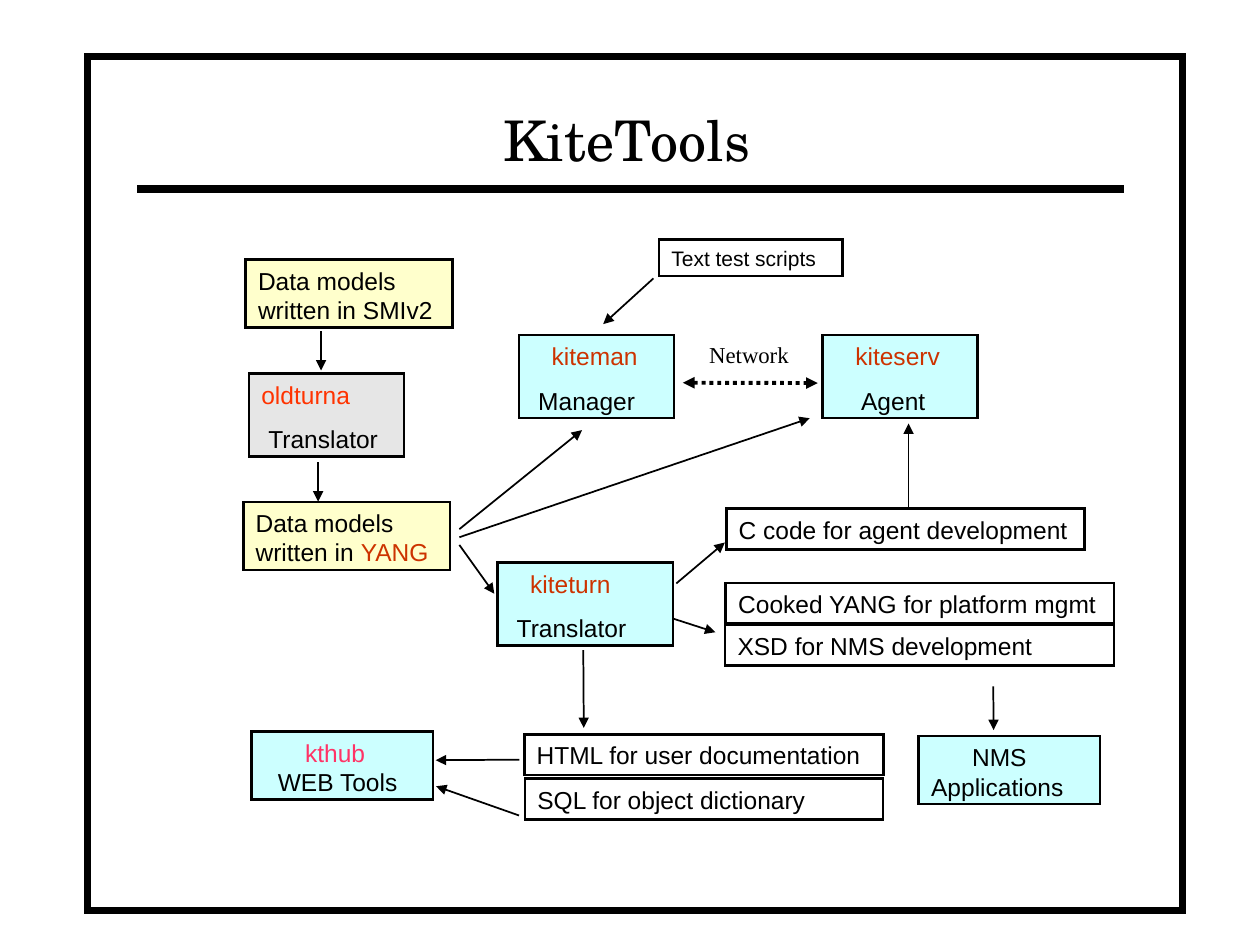
import pptx
import pptx.util
import pptx.dml.color
import pptx.enum.dml
import pptx.enum.shapes
import pptx.enum.text
import pptx.oxml
import pptx.oxml.ns

Pt = pptx.util.Pt

COLORS = {
    "black": "000000", "cyan": "CCFFFF", "yellow": "FFFFCC", "gray": "E6E6E6",
    "rust": "CC3300", "orange": "FF3300", "pink": "FF3366",
}

TITLE = "KiteTools"
FRAME = (50, 32, 625.7, 488.2)
TITLE_RULE = ((78.5, 108), (642.2, 108))


# Paragraph: (left indent, first-line indent, space before, [(text, color)])
def tool(name, role, name_indent, role_indent, color="rust"):
    """Return the two paragraphs of a tool box: its name and its role."""
    return [(name_indent, 0, 0, [(name, color)]),
            (role_indent, 0, 8.7, [(role, "black")])]


def plain(*runs, first_line=0):
    """Return one paragraph made of plain strings or (text, color) runs."""
    return [(0, first_line, 0,
             [(run, "black") if isinstance(run, str) else run for run in runs])]


# (left, top, width, height), fill, font size, paragraphs
BOXES = [
    ((140.4, 148.3, 118.1, 38.9), "yellow", 14, plain("Data models written in SMIv2")),
    ((142.3, 213.4, 88.6, 47.6), "gray", 14,
     tool("oldturna", "Translator", 0, 4, "orange")),
    ((139, 286.8, 118.1, 38.9), "yellow", 14,
     plain("Data models written in ", ("YANG", "rust"))),
    ((296.5, 191.4, 88.6, 47.6), "cyan", 14, tool("kiteman", "Manager", 11.7, 4)),
    ((470, 191.4, 88.6, 47.6), "cyan", 14, tool("kiteserv", "Agent", 11.7, 15)),
    ((284.2, 321.4, 100.4, 47.6), "cyan", 14, tool("kiteturn", "Translator", 11.7, 4)),
    ((376.6, 136.7, 104.8, 21), None, 12, plain("Text test scripts")),
    ((415, 290.6, 204.6, 23.3), None, 14, plain("C code for agent development")),
    ((414.7, 333.1, 221.8, 23.3), None, 14, plain("Cooked YANG for platform mgmt")),
    ((414.4, 357, 222.3, 23.3), None, 14, plain("XSD for NMS development")),
    ((299.6, 419.6, 205.4, 23.3), None, 14, plain("HTML for user documentation")),
    ((300, 445, 204.6, 23.3), None, 14, plain("SQL for object dictionary")),
    ((143.9, 418, 103.7, 38.9), "cyan", 14,
     [(23.4, 0, 0, [("kthub", "pink")]), (7.8, 0, 0, [("WEB Tools", "black")])]),
    ((525, 420.6, 103.7, 38.9), "cyan", 14, plain("NMS Applications", first_line=23.4)),
]

NETWORK_LABEL = (398.2, 191.4, 59.8, 21.8)
NETWORK_LINK = ((390.2, 218.7), (467.3, 218.9))

ARROWS = [  # start, end
    ((183.5, 189.4), (183.5, 211.7)),    # SMIv2 models to their translator
    ((181.8, 264.2), (181.8, 286.6)),    # SMIv2 translator to YANG models
    ((262.5, 302.4), (332.6, 245.8)),    # YANG models to manager
    ((262.5, 307), (462.7, 239)),        # YANG models to agent
    ((262.5, 311.4), (282.5, 339.3)),    # YANG models to their translator
    ((373.4, 159.1), (344.7, 185.2)),    # test scripts to manager
    ((386.5, 333.4), (414.2, 310)),      # YANG translator to C code
    ((385, 353.6), (408.8, 361.3)),      # YANG translator to YANG and XSD
    ((519.2, 291.4), (519.2, 242)),      # C code to agent
    ((333.3, 371.5), (333.6, 416)),      # YANG translator to HTML and SQL
    ((296.8, 434.1), (249, 434.4)),      # HTML to web tools
    ((296.6, 466), (249.2, 449.3)),      # SQL to web tools
    ((567.6, 392.2), (567.8, 417.2)),    # XSD to NMS applications
]


def rgb(name):
    """Return a named color as an RGBColor."""
    return pptx.dml.color.RGBColor.from_string(COLORS[name])


def element(tag, attributes=""):
    """Return an empty DrawingML element."""
    return pptx.oxml.parse_xml(f'<a:{tag} {pptx.oxml.ns.nsdecls("a")} {attributes}/>')


def style_font(font, face, size):
    """Set typeface and size of a font."""
    font.name, font.size, font.bold = face, Pt(size), False


def add_box(slide, place, fill, line_width):
    """Add a sharp-cornered rectangle, unfilled when fill is None."""
    box = slide.shapes.add_shape(pptx.enum.shapes.MSO_SHAPE.RECTANGLE, *map(Pt, place))
    box.shadow.inherit = False
    if fill:
        box.fill.solid()
        box.fill.fore_color.rgb = rgb(fill)
    else:
        box.fill.background()
    box.line.color.rgb = rgb("black")
    box.line.width = Pt(line_width)
    box.line._get_or_add_ln().append(element("miter", 'lim="800000"'))
    return box


def fill_text(frame, paragraphs, size):
    """Write left-aligned paragraphs with indents and colored runs."""
    frame.word_wrap = True
    frame.vertical_anchor = pptx.enum.text.MSO_ANCHOR.TOP
    for index, (left, first_line, before, runs) in enumerate(paragraphs):
        paragraph = frame.add_paragraph() if index else frame.paragraphs[0]
        paragraph.alignment = pptx.enum.text.PP_ALIGN.LEFT
        paragraph.space_before = Pt(before)
        style_font(paragraph.font, "Arial", size)
        properties = paragraph._p.get_or_add_pPr()
        properties.set("marL", str(int(Pt(left))))
        properties.set("indent", str(int(Pt(first_line))))
        for text, color in runs:
            run = paragraph.add_run()
            run.text = text
            run.font.color.rgb = rgb(color)


def add_line(slide, start, end, width, heads=()):
    """Add a straight black line with triangles at the named ends."""
    line = slide.shapes.add_connector(
        pptx.enum.shapes.MSO_CONNECTOR.STRAIGHT, *map(Pt, start + end))
    line.line.color.rgb = rgb("black")
    line.line.width = Pt(width)
    outline = line.line._get_or_add_ln()
    for head in heads:
        outline.append(element(head, 'type="triangle"'))
    line._element.spPr.append(element("effectLst"))
    return line


deck = pptx.Presentation()
deck.slide_width, deck.slide_height = Pt(720), Pt(540)
slide = deck.slides.add_slide(deck.slide_layouts[5])

title = slide.shapes.title
title.left, title.top, title.width, title.height = map(Pt, (77.8, 28.8, 560.9, 73.4))
title.text_frame.text = TITLE
title.text_frame.vertical_anchor = pptx.enum.text.MSO_ANCHOR.BOTTOM
heading = title.text_frame.paragraphs[0]
heading.alignment = pptx.enum.text.PP_ALIGN.CENTER
style_font(heading.font, "TeX Gyre Schola", 32)
heading.font.color.rgb = rgb("black")

add_box(slide, FRAME, None, 4)
add_line(slide, *TITLE_RULE, 4.5)

for place, fill, size, paragraphs in BOXES:
    fill_text(add_box(slide, place, fill, 1.5).text_frame, paragraphs, size)

for start, end in ARROWS:
    add_line(slide, start, end, 1, ["tailEnd"])

network_link = add_line(slide, *NETWORK_LINK, 2.25, ["headEnd", "tailEnd"])
network_link.line.dash_style = pptx.enum.dml.MSO_LINE.ROUND_DOT

network = slide.shapes.add_textbox(*map(Pt, NETWORK_LABEL)).text_frame
network.word_wrap = False
network.text = "Network"
style_font(network.paragraphs[0].font, "Times New Roman", 13)
network.paragraphs[0].font.color.rgb = rgb("black")

deck.save("out.pptx")
